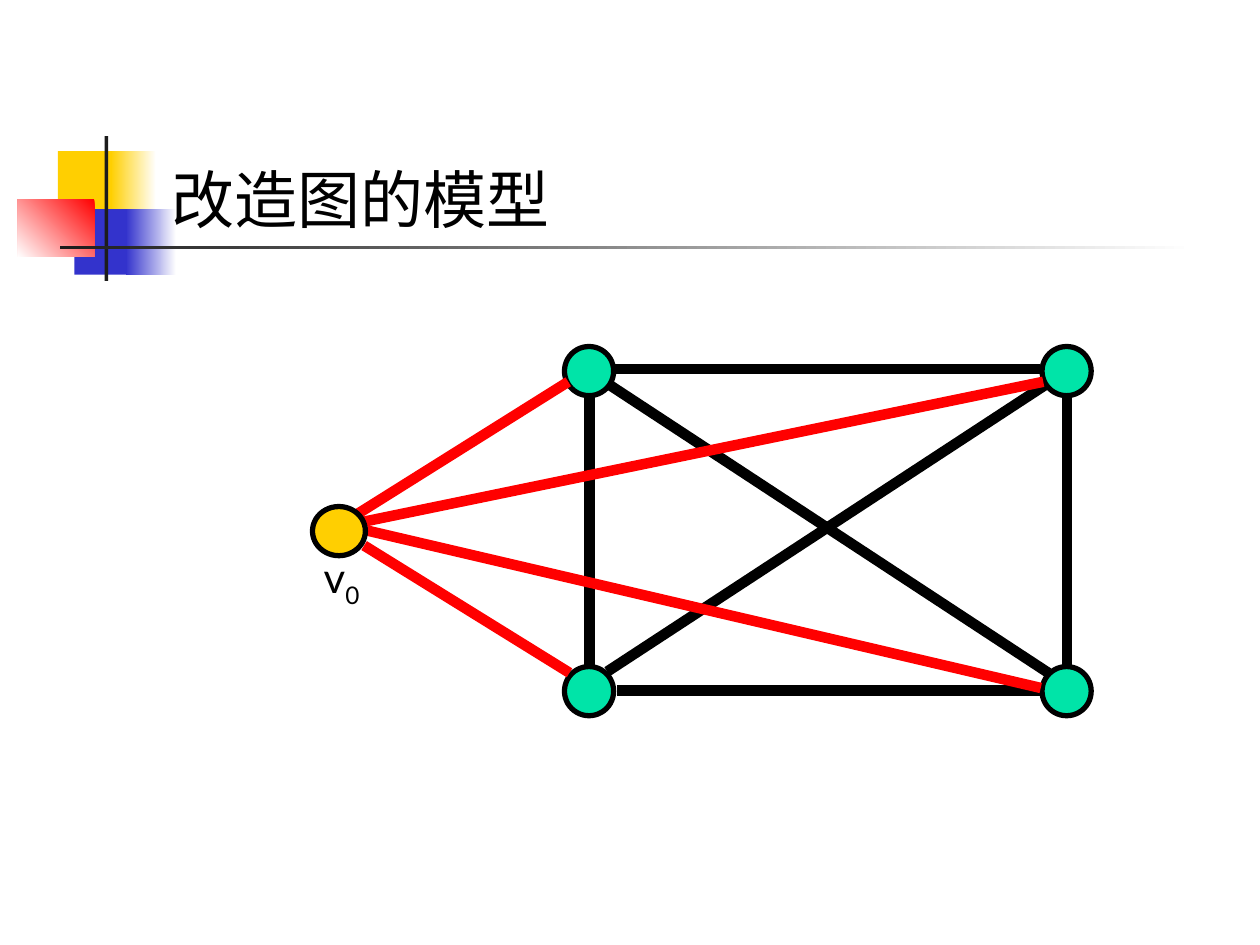
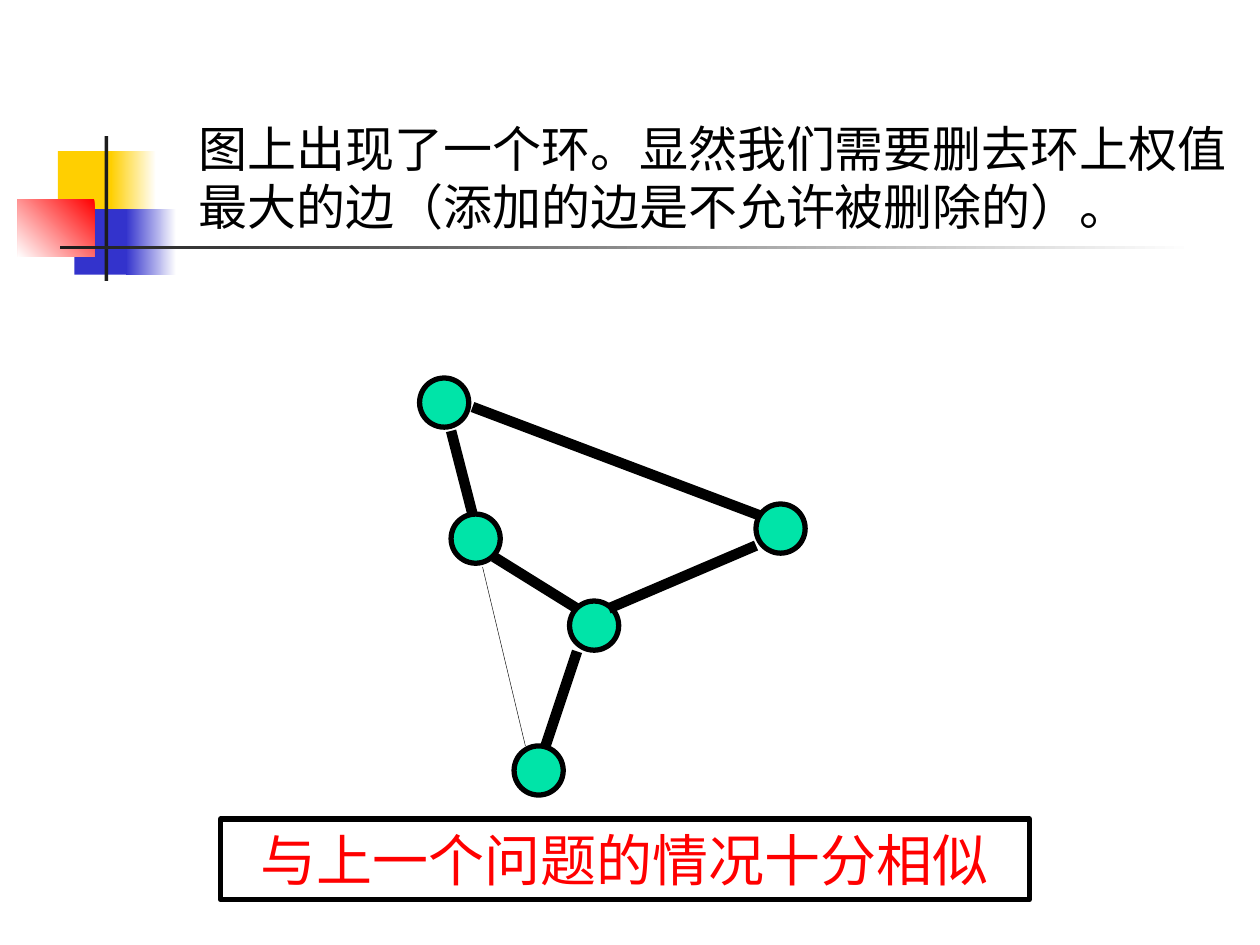
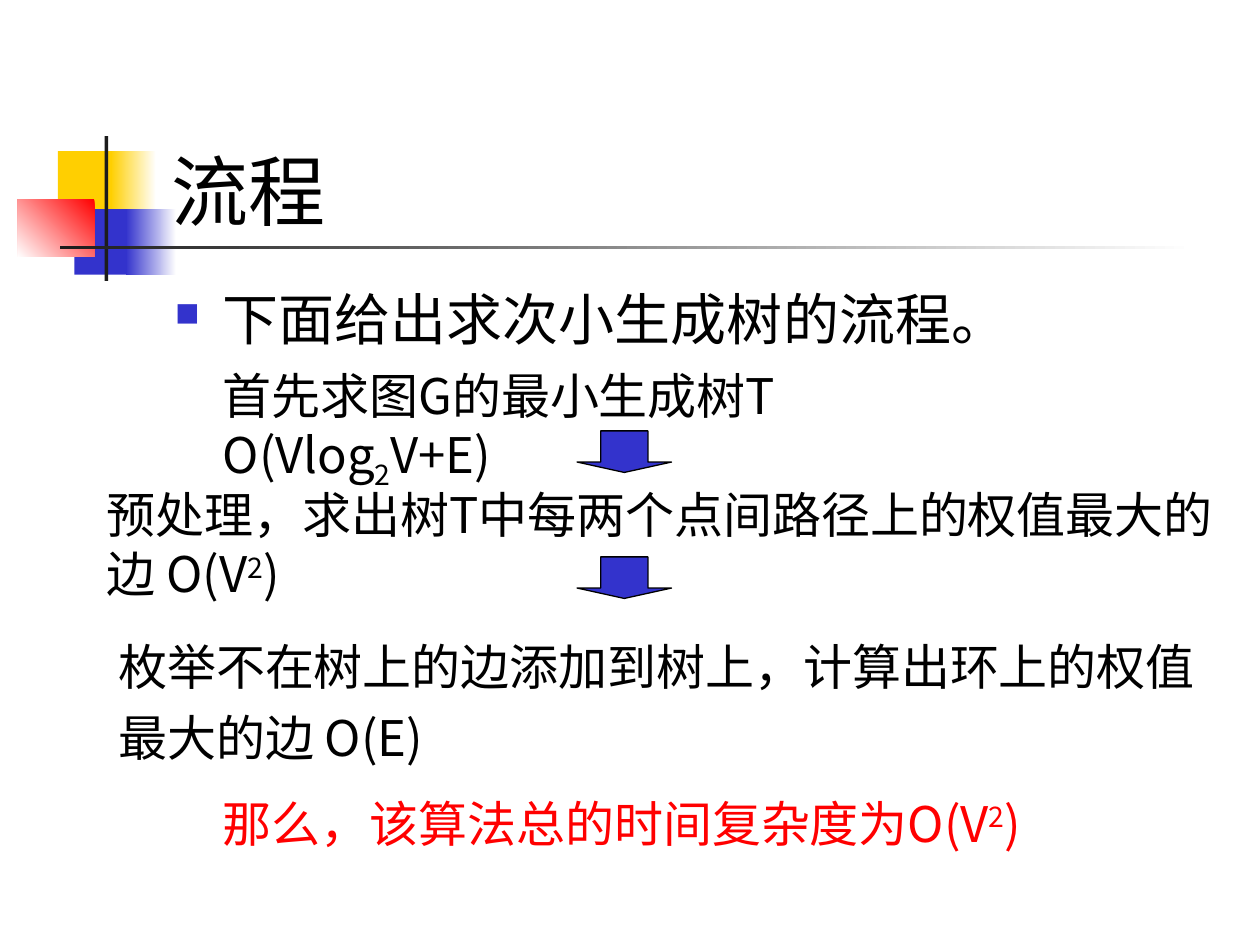
from dataclasses import dataclass
from itertools import product

from lxml import etree
from pptx import Presentation
from pptx.dml.color import RGBColor
from pptx.enum import shapes, text
from pptx.oxml import ns
from pptx.util import Inches, Pt

SHAPE = shapes.MSO_SHAPE
ALIGN = text.PP_ALIGN
SUB, SUPER = -25000, 30000


@dataclass(frozen=True)
class Theme:
    black: str = "000000"
    white: str = "FFFFFF"
    red: str = "FF0000"
    yellow: str = "FFCF01"
    blue: str = "3333CC"
    green: str = "00E4A8"
    ink: str = "1C1C1C"
    font: str = "Lato"
    cjk_font: str = "Noto Sans CJK SC"
    title: int = 44
    long_title: int = 36
    lead: int = 32
    body: int = 28
    label: int = 24
    edge: float = 6
    outline: float = 3
    thin: float = 0.75
    hairline: float = 0.25
    node: float = 0.39


class Deck:
    def __init__(self, prs, theme):
        self.prs = prs
        self.t = theme
        self.s = None

    def new_slide(self, title, size, left=1.26):
        self.s = self.prs.slides.add_slide(self.prs.slide_layouts[6])
        self.ornament()
        self.textbox((left, 0.67, 8.52, 1.25), [[title]], size,
                     anchor=text.MSO_ANCHOR.BOTTOM, grow=False)

    def ornament(self):
        """Coloured squares and crossing rules beside the title."""
        t = self.t
        self.shape((0.46, 1.2, 0.48, 0.52), t.yellow)
        self.fade((0.88, 1.2, 0.36, 0.52), t.white, t.yellow)
        self.shape((0.59, 1.66, 0.46, 0.52), t.blue)
        self.fade((1, 1.66, 0.4, 0.52), t.white, t.blue)
        self.fade((0.14, 1.58, 0.61, 0.46), t.red, t.white, angle=225)
        self.shape((0.83, 1.08, 0.03, 1.15), t.ink)
        self.fade((0.48, 1.95, 9, 0.03), t.white, t.ink)

    def shape(self, box, fill=None, kind=SHAPE.RECTANGLE, line=None):
        """Add a preset shape; line is the width of a black outline."""
        sp = self.s.shapes.add_shape(kind, *map(Inches, box))
        sp.shadow.inherit = False
        if fill:
            sp.fill.solid()
            sp.fill.fore_color.rgb = RGBColor.from_string(fill)
        else:
            sp.fill.background()
        if line:
            sp.line.color.rgb = RGBColor.from_string(self.t.black)
            sp.line.width = Pt(line)
        else:
            sp.line.fill.background()
        return sp

    def fade(self, box, start, end, angle=180):
        """Add a rectangle with a gradient; angle runs counter-clockwise."""
        sp = self.shape(box)
        sp.fill.gradient()
        sp.fill.gradient_angle = angle
        for stop, color in zip(sp.fill.gradient_stops, (start, end)):
            stop.color.rgb = RGBColor.from_string(color)

    def node(self, left, top, fill=None, width=None):
        box = (left, top, width or self.t.node, self.t.node)
        self.shape(box, fill or self.t.green, SHAPE.OVAL, self.t.outline)

    def edge(self, x1, y1, x2, y2, color=None, width=None):
        c = self.s.shapes.add_connector(
            shapes.MSO_CONNECTOR.STRAIGHT, *map(Inches, (x1, y1, x2, y2)))
        c.line.color.rgb = RGBColor.from_string(color or self.t.black)
        c.line.width = Pt(width or self.t.edge)
        etree.SubElement(c._element.spPr, ns.qn("a:effectLst"))

    def down_arrow(self, top):
        sp = self.shape((4.58, top, 0.75, 0.33), self.t.blue,
                        SHAPE.DOWN_ARROW, self.t.thin)
        sp.adjustments[0], sp.adjustments[1] = 0.5, 0.25

    def textbox(self, box, paragraphs, size, **style):
        sp = self.s.shapes.add_textbox(*map(Inches, box))
        self.set_text(sp, paragraphs, size, **style)
        return sp

    def set_text(self, sp, paragraphs, size, color=None, font=None, before=0,
                 align=ALIGN.LEFT, anchor=text.MSO_ANCHOR.TOP, wrap=True, grow=True):
        """Fill a shape; a run is a string or a (string, baseline) pair."""
        tf = sp.text_frame
        tf.word_wrap = wrap
        tf.vertical_anchor = anchor
        tf.auto_size = (text.MSO_AUTO_SIZE.SHAPE_TO_FIT_TEXT if grow
                        else text.MSO_AUTO_SIZE.NONE)
        for i, runs in enumerate(paragraphs):
            p = tf.add_paragraph() if i else tf.paragraphs[0]
            p.alignment = align
            p.space_before = Pt(before)
            for run in runs:
                words, baseline = (run, 0) if isinstance(run, str) else run
                r = p.add_run()
                r.text = words
                r.font.size = Pt(size)
                r.font.name = font or self.t.font
                r.font.color.rgb = RGBColor.from_string(color or self.t.black)
                rPr = r._r.get_or_add_rPr()
                etree.SubElement(rPr, ns.qn("a:ea"), typeface=self.t.cjk_font)
                if baseline:
                    rPr.set("baseline", str(baseline))

    def bullet(self, box, words):
        sp = self.textbox(box, [[words]], self.t.lead, before=8, grow=False)
        pPr = sp.text_frame.paragraphs[0]._p.get_or_add_pPr()
        indent = Inches(0.38)
        pPr.set("marL", str(indent))
        pPr.set("indent", str(-indent))
        color = etree.SubElement(pPr, ns.qn("a:buClr"))
        etree.SubElement(color, ns.qn("a:srgbClr"), val=self.t.blue)
        etree.SubElement(pPr, ns.qn("a:buSzPct"), val="60000")
        etree.SubElement(pPr, ns.qn("a:buChar"), char="■")

    def step(self, box, paragraphs, before=7, **style):
        self.textbox(box, paragraphs, self.t.body, font=self.t.cjk_font,
                     before=before, **style)


def model_slide(d):
    t = d.t
    d.new_slide("改造图的模型", t.long_title)
    d.edge(4.82, 5.33, 8.32, 3.04)
    for left, top in product((4.48, 8.27), (2.75, 5.29)):
        d.node(left, top)
    for ends in [(4.9, 5.48, 8.27, 5.48), (8.47, 3.15, 8.47, 5.31),
                 (4.88, 2.93, 8.25, 2.93), (8.32, 5.34, 4.83, 3.05),
                 (4.68, 3.15, 4.68, 5.31)]:
        d.edge(*ends)
    for ends in [(2.82, 4.09, 4.51, 3.03), (2.89, 4.14, 8.28, 3.03),
                 (8.26, 5.46, 2.91, 4.21), (4.52, 5.34, 2.89, 4.33)]:
        d.edge(*ends, color=t.red)
    d.node(2.48, 4.02, t.yellow, width=0.42)
    d.textbox((2.25, 4.33, 0.92, 0.56), [["v", ("0", SUB)]], t.label,
              before=15, align=ALIGN.CENTER)


def cycle_slide(d):
    t = d.t
    d.new_slide("图上出现了一个环。显然我们需要删去环上权值最大的边"
                "（添加的边是不允许被删除的）。", t.body, left=1.48)
    d.edge(3.75, 3.23, 6.08, 4.11)
    for left, top in [(3.33, 3), (3.58, 4.08), (4.52, 4.77), (4.08, 5.92), (6, 4)]:
        d.node(left, top)
    for ends in [(3.58, 3.42, 3.75, 4.08), (3.92, 4.42, 4.58, 4.83),
                 (4.58, 5.17, 4.33, 5.92), (4.83, 4.83, 6, 4.33)]:
        d.edge(*ends)
    for ends in [(3.83, 4.5, 4.17, 5.92), (3.75, 3.25, 6, 4.08)]:
        d.edge(*ends, width=t.hairline)
    remark = d.shape((1.75, 6.5, 6.42, 0.64), line=t.outline)
    d.set_text(remark, [["与上一个问题的情况十分相似"]], t.lead, color=t.red,
               before=20, align=ALIGN.CENTER)


def process_slide(d):
    d.new_slide("流程", d.t.title)
    d.bullet((1.29, 2.21, 8.5, 0.7), "下面给出求次小生成树的流程。")
    d.down_arrow(3.42)
    d.step((1.67, 2.85, 6.67, 1.1),
           [["首先求图G的最小生成树T O(Vlog", ("2", SUB), "V+E)"]])
    d.step((0.75, 3.8, 9.17, 1.04),
           [["预处理，求出树T中每两个点间路径上的权值最大的边 O(V", ("2", SUPER), ")"]])
    d.step((1.67, 6.25, 9.25, 0.57),
           [["那么，该算法总的时间复杂度为O(V", ("2", SUPER), ")"]],
           before=17.5, color=d.t.red)
    d.down_arrow(4.42)
    d.step((0.84, 5, 8.74, 1.13),
           [["枚举不在树上的边添加到树上，计算出环上的权值"], ["最大的边 O(E)"]],
           wrap=False)


def main():
    prs = Presentation()
    prs.slide_width, prs.slide_height = Inches(10), Inches(7.5)
    d = Deck(prs, Theme())
    for build in (model_slide, cycle_slide, process_slide):
        build(d)
    prs.save("out.pptx")


if __name__ == "__main__":
    main()
